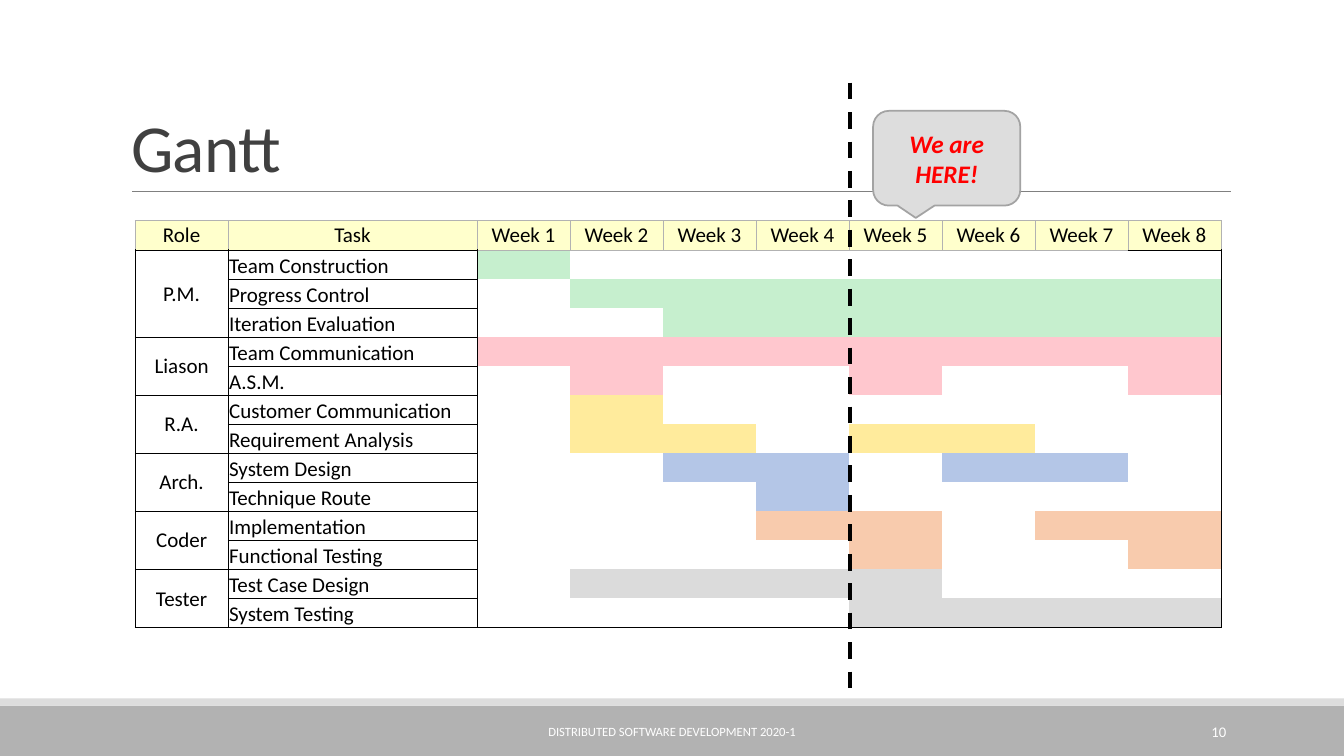
import pptx
import pptx.util
import pptx.dml.color
import pptx.enum.dml
import pptx.enum.shapes
import pptx.enum.text
import pptx.oxml.ns
import lxml.etree

Inches = pptx.util.Inches
Pt = pptx.util.Pt
RGBColor = pptx.dml.color.RGBColor
SHAPES = pptx.enum.shapes.MSO_SHAPE
ALIGN = pptx.enum.text.PP_ALIGN
ANCHOR = pptx.enum.text.MSO_ANCHOR
qn = pptx.oxml.ns.qn

BLACK = RGBColor(0x00, 0x00, 0x00)
WHITE = RGBColor(0xFF, 0xFF, 0xFF)
RED = RGBColor(0xFF, 0x00, 0x00)
DARK = RGBColor(0x40, 0x40, 0x40)
RULE = RGBColor(0x80, 0x80, 0x80)
OUTLINE = RGBColor(0xA3, 0xA3, 0xA3)
GREY = RGBColor(0xB2, 0xB2, 0xB2)
LIGHT = RGBColor(0xDD, 0xDD, 0xDD)
CREAM = RGBColor(0xFF, 0xFF, 0xCC)
GREEN = RGBColor(0xC6, 0xEF, 0xCE)
PINK = RGBColor(0xFF, 0xC7, 0xCE)
YELLOW = RGBColor(0xFF, 0xEB, 0x9C)
BLUE = RGBColor(0xB4, 0xC6, 0xE7)
ORANGE = RGBColor(0xF8, 0xCB, 0xAD)
SILVER = RGBColor(0xDB, 0xDB, 0xDB)

PLAIN_TABLE = "{2D5ABB26-0587-4C30-8999-92F81FD0307C}"
WEEKS = range(1, 9)
ROLES = [
    ("P.M.", GREEN, [
        ("Team Construction", [1]),
        ("Progress Control", range(2, 9)),
        ("Iteration Evaluation", range(3, 9))]),
    ("Liason", PINK, [
        ("Team Communication", WEEKS),
        ("A.S.M.", [2, 5, 8])]),
    ("R.A.", YELLOW, [
        ("Customer Communication", [2]),
        ("Requirement Analysis", [2, 3, 5, 6])]),
    ("Arch.", BLUE, [
        ("System Design", [3, 4, 6, 7]),
        ("Technique Route", [4])]),
    ("Coder", ORANGE, [
        ("Implementation", [4, 5, 7, 8]),
        ("Functional Testing", [5, 8])]),
    ("Tester", SILVER, [
        ("Test Case Design", range(2, 6)),
        ("System Testing", range(5, 9))]),
]


class SlideBuilder:
    def __init__(self, deck, font="Calibri"):
        self.font = font
        self.page = deck.slides.add_slide(deck.slide_layouts[5])

    def add_span(self, para, text, size, color, align=ALIGN.LEFT, bold=False, italic=False):
        para.alignment = align
        span = para.add_run()
        span.text = text
        span.font.name = self.font
        span.font.size = Pt(size)
        span.font.color.rgb = color
        span.font.bold = bold
        span.font.italic = italic
        return span

    def place(self, shape, left, top, width, height):
        shape.left, shape.top = Inches(left), Inches(top)
        shape.width, shape.height = Inches(width), Inches(height)

    def title(self, text, *bounds):
        box = self.page.shapes.title
        self.place(box, *bounds)
        frame = box.text_frame
        frame.vertical_anchor = ANCHOR.BOTTOM
        para = frame.paragraphs[0]
        para.line_spacing = 0.85
        span = self.add_span(para, text, 48, DARK)
        span.font._element.set("spc", "-50")

    def text(self, text, bounds, size, align):
        box = self.page.shapes.add_textbox(*map(Inches, bounds))
        box.text_frame.word_wrap = True
        box.text_frame.vertical_anchor = ANCHOR.MIDDLE
        self.add_span(box.text_frame.paragraphs[0], text, size, WHITE, align)

    def shape(self, kind, bounds, fill, line=None):
        shape = self.page.shapes.add_shape(kind, *map(Inches, bounds))
        shape.shadow.inherit = False
        shape.fill.solid()
        shape.fill.fore_color.rgb = fill
        if line is None:
            shape.line.fill.background()
        else:
            shape.line.color.rgb = line
            shape.line.width = Pt(1.25)
        return shape

    def callout(self, text, bounds, tip):
        shape = self.shape(SHAPES.ROUNDED_RECTANGULAR_CALLOUT, bounds, LIGHT, OUTLINE)
        shape.adjustments[0], shape.adjustments[1] = tip
        shape.text_frame.word_wrap = True
        shape.text_frame.vertical_anchor = ANCHOR.MIDDLE
        self.add_span(shape.text_frame.paragraphs[0], text, 18, RED, ALIGN.CENTER, True, True)

    def line(self, start, end, color, width, dash=None):
        line = self.page.shapes.add_connector(
            pptx.enum.shapes.MSO_CONNECTOR.STRAIGHT, *map(Inches, start + end))
        line.line.color.rgb = color
        line.line.width = Pt(width)
        if dash is not None:
            line.line.dash_style = dash
        lxml.etree.SubElement(line._element.spPr, qn("a:effectLst"))

    def table(self, rows, columns, bounds):
        frame = self.page.shapes.add_table(rows, columns, *map(Inches, bounds))
        table = frame.table
        table.first_row = table.horz_banding = False
        table._tbl.tblPr.find(qn("a:tableStyleId")).text = PLAIN_TABLE
        for row in table.rows:
            row.height = Inches(bounds[3] / rows)
        return table

    def cell(self, cell, text="", fill=None, borders=None, align=ALIGN.CENTER, anchor=ANCHOR.MIDDLE):
        cell.margin_left = cell.margin_right = cell.margin_top = Inches(0.01)
        cell.margin_bottom = 0
        cell.vertical_anchor = anchor
        properties = cell._tc.get_or_add_tcPr()
        for side in "LRTB":
            color = (borders or {}).get(side)
            edge = lxml.etree.SubElement(properties, qn("a:ln" + side), w=str(Pt(0.5)))
            if color is None:
                lxml.etree.SubElement(edge, qn("a:noFill"))
            else:
                solid = lxml.etree.SubElement(edge, qn("a:solidFill"))
                lxml.etree.SubElement(solid, qn("a:srgbClr"), val=str(color))
        if fill is None:
            cell.fill.background()
        else:
            cell.fill.solid()
            cell.fill.fore_color.rgb = fill
        para = cell.text_frame.paragraphs[0]
        if text:
            self.add_span(para, text, 15, BLACK, align)
        else:
            lxml.etree.SubElement(para._p, qn("a:endParaRPr"), sz="1500")

    def gantt(self, bounds, task_width):
        row_count = 1 + sum(len(tasks) for _, _, tasks in ROLES)
        table = self.table(row_count, 2 + len(WEEKS), bounds)
        for column in table.columns:
            column.width = Inches((bounds[2] - task_width) / (1 + len(WEEKS)))
        table.columns[1].width = Inches(task_width)
        framed = dict.fromkeys("LRTB", BLACK)
        headings = ["Role", "Task"] + [f"Week {week}" for week in WEEKS]
        for index, heading in enumerate(headings):
            borders = dict.fromkeys("LRTB", GREY)
            if index in (0, 1, len(headings) - 1):
                borders["B"] = BLACK
            self.cell(table.cell(0, index), heading, CREAM, borders)
        row = 1
        for role, color, tasks in ROLES:
            first = row
            for task, active in tasks:
                self.cell(table.cell(row, 0), role if row == first else "", None, framed)
                self.cell(table.cell(row, 1), task, None, framed, ALIGN.LEFT, ANCHOR.BOTTOM)
                for week in WEEKS:
                    borders = {}
                    if week == WEEKS[0]:
                        borders["L"] = BLACK
                    if week == WEEKS[-1]:
                        borders["R"] = BLACK
                    if row == 1:
                        borders["T"] = BLACK if week == WEEKS[-1] else GREY
                    if row == row_count - 1:
                        borders["B"] = BLACK
                    fill = color if week in active else None
                    self.cell(table.cell(row, week + 1), "", fill, borders)
                row += 1
            table.cell(first, 0).merge(table.cell(row - 1, 0))


def main():
    deck = pptx.Presentation()
    deck.slide_width, deck.slide_height = Inches(13.33), Inches(7.5)
    slide = SlideBuilder(deck)
    slide.shape(SHAPES.RECTANGLE, (0, 7, 13.33, 0.5), GREY)
    slide.shape(SHAPES.RECTANGLE, (0, 6.93, 13.33, 0.07), LIGHT)
    slide.line((1.31, 1.9), (12.21, 1.9), RULE, 0.5)
    slide.title("Gantt", 1.2, 0.31, 11, 1.59)
    slide.gantt((1.34, 2.19, 10.77, 4.04), 2.47)
    slide.text("DISTRIBUTED SOFTWARE DEVELOPMENT 2020-1", (4.03, 7.06, 5.27, 0.4), 9, ALIGN.CENTER)
    slide.text("10", (10.83, 7.06, 1.43, 0.4), 10.5, ALIGN.RIGHT)
    slide.callout("We are HERE!", (8.66, 1.1, 1.46, 0.94), (-0.21, 0.63))
    slide.line((8.43, 0.82), (8.43, 6.91), BLACK, 3, pptx.enum.dml.MSO_LINE.DASH)
    deck.save("out.pptx")


if __name__ == "__main__":
    main()
